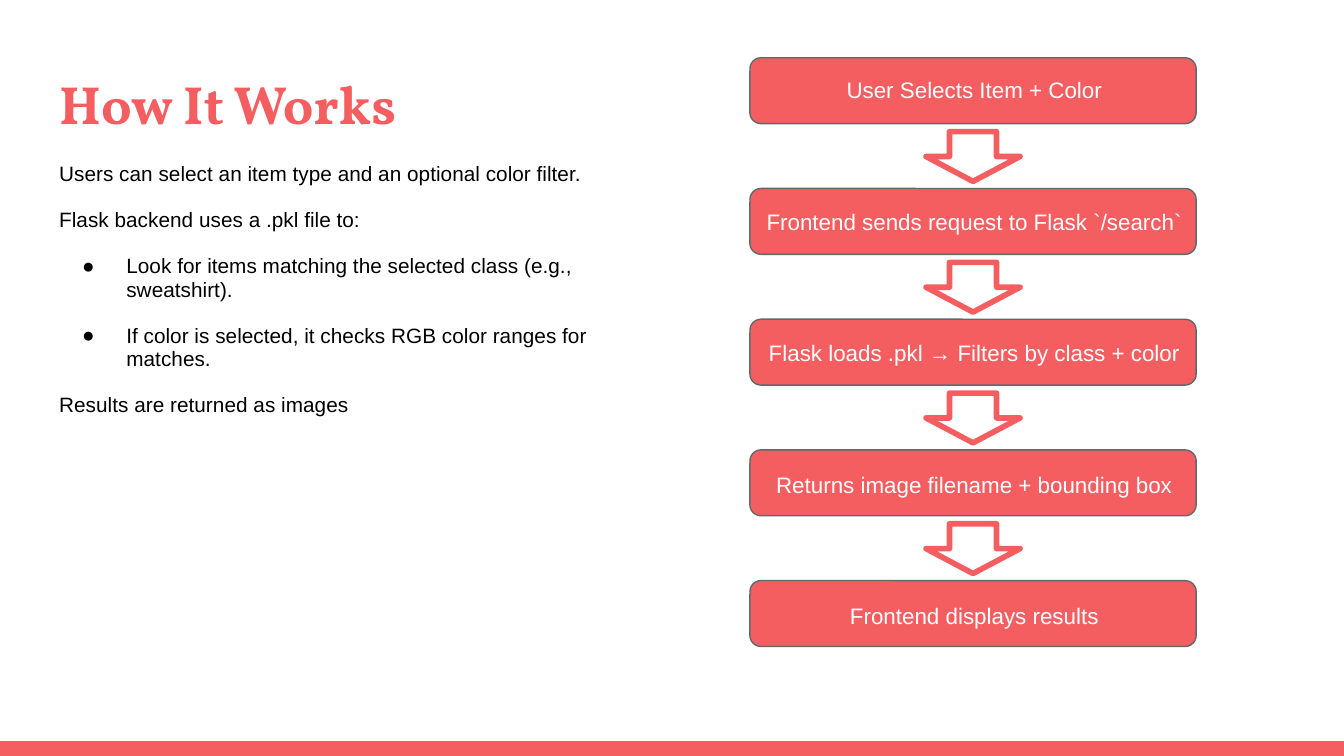
from lxml import etree
from pptx import Presentation
from pptx import util as u
from pptx.dml.color import RGBColor
from pptx.enum import shapes, text
from pptx.oxml.ns import qn

CORAL = RGBColor(0xF5, 0x5E, 0x61)
SLATE = RGBColor(0x5E, 0x69, 0x6C)
BLACK = RGBColor(0, 0, 0)
WHITE = RGBColor(0xFF, 0xFF, 0xFF)

WIDTH = 10
HEIGHT = WIDTH * 9 / 16
BAR_H = 0.11
LEFT = 0.34
FLOW_LEFT, FLOW_TOP, FLOW_BOTTOM = 5.58, 0.43, 4.32  # tops of first and last box
LABEL_LEFT, LABEL_TOP = 5.59, 0.41
BOX_W, BOX_H = 3.32, 0.49
ARROW_W, ARROW_H = 0.7, 0.37
ARROW_OFFSET = 0.55  # from the top of a box to the arrow under it

STEPS = [
    "User Selects Item + Color",
    "Frontend sends request to Flask `/search`",
    "Flask loads .pkl → Filters by class + color",
    "Returns image filename + bounding box",
    "Frontend displays results",
]
BODY = [  # (text, bulleted)
    ("Users can select an item type and an optional color filter.", False),
    ("Flask backend uses a .pkl file to:", False),
    ("Look for items matching the selected class (e.g., sweatshirt).", True),
    ("If color is selected, it checks RGB color ranges for matches.", True),
    ("Results are returned as images", False),
]


def row_top(row, first=FLOW_TOP):
    """Top of a row when the rows run evenly from first to FLOW_BOTTOM."""
    return first + row * (FLOW_BOTTOM - first) / (len(STEPS) - 1)


def inches(*lengths):
    return [u.Inches(length) for length in lengths]


def place(sp, *box):
    sp.left, sp.top, sp.width, sp.height = inches(*box)


def set_frame(tf, anchor):
    tf.word_wrap = True
    tf.auto_size = text.MSO_AUTO_SIZE.NONE
    tf.vertical_anchor = anchor
    tf.margin_left = tf.margin_right = u.Inches(0.1)
    tf.margin_top = tf.margin_bottom = u.Inches(0.1)


def write(p, content, size=12, font="Arial", color=BLACK, bold=False,
          align=text.PP_ALIGN.LEFT, spacing=1.0, before=0):
    p.alignment = align
    p.line_spacing = spacing
    p.space_before = u.Pt(before)
    r = p.add_run()
    r.text = content
    r.font.size, r.font.name, r.font.bold = u.Pt(size), font, bold
    r.font.color.rgb = color


def set_bullet(p, bulleted):
    pPr = p._p.get_or_add_pPr()
    pPr.set("marL", str(u.Inches(0.5 if bulleted else 0)))
    pPr.set("indent", str(u.Inches(-0.33 if bulleted else 0)))
    if bulleted:
        etree.SubElement(pPr, qn("a:buFont")).set("typeface", "Arial")
        etree.SubElement(pPr, qn("a:buChar")).set("char", "●")
    else:
        etree.SubElement(pPr, qn("a:buNone"))


def add_block(slide, kind, box, fill, line=None, weight=0.75):
    sp = slide.shapes.add_shape(kind, *inches(*box))
    sp.shadow.inherit = False
    sp.fill.solid()
    sp.fill.fore_color.rgb = fill
    if line is None:
        sp.line.fill.background()
    else:
        sp.line.color.rgb = line
        sp.line.width = u.Pt(weight)


def add_title(slide):
    sp = slide.shapes.title
    place(sp, LEFT, 0.43, 4.66, 0.68)
    set_frame(sp.text_frame, text.MSO_ANCHOR.TOP)
    write(sp.text_frame.paragraphs[0], "How It Works", size=28.8,
          font="Vollkorn", color=CORAL, bold=True)


def add_body(slide):
    sp = slide.placeholders[1]
    place(sp, LEFT, 1.11, 4.25, 2.47)
    tf = sp.text_frame
    set_frame(tf, text.MSO_ANCHOR.TOP)
    for i, (content, bulleted) in enumerate(BODY):
        p = tf.add_paragraph() if i else tf.paragraphs[0]
        write(p, content, size=11.1, spacing=0.95, before=12 if i else 0)
        set_bullet(p, bulleted)


def add_box(slide, row):
    add_block(slide, shapes.MSO_SHAPE.ROUNDED_RECTANGLE,
              (FLOW_LEFT, row_top(row), BOX_W, BOX_H), CORAL, SLATE)


def add_label(slide, row, label):
    sp = slide.shapes.add_textbox(
        *inches(LABEL_LEFT, row_top(row, LABEL_TOP), BOX_W, BOX_H))
    set_frame(sp.text_frame, text.MSO_ANCHOR.MIDDLE)
    write(sp.text_frame.paragraphs[0], label, color=WHITE,
          align=text.PP_ALIGN.CENTER, spacing=1.15)


def add_down_arrow(slide, row):
    box = (FLOW_LEFT + (BOX_W - ARROW_W) / 2, row_top(row) + ARROW_OFFSET,
           ARROW_W, ARROW_H)
    add_block(slide, shapes.MSO_SHAPE.DOWN_ARROW, box, WHITE, CORAL, 3)


def main():
    prs = Presentation()
    prs.slide_width, prs.slide_height = inches(WIDTH, HEIGHT)
    slide = prs.slides.add_slide(prs.slide_layouts[1])
    add_block(slide, shapes.MSO_SHAPE.RECTANGLE,
              (0, HEIGHT - BAR_H, WIDTH, BAR_H), CORAL)
    add_title(slide)
    add_body(slide)
    for row in range(len(STEPS)):
        add_box(slide, row)
    for row, label in enumerate(STEPS):
        add_label(slide, row, label)
    for row in range(len(STEPS) - 1):
        add_down_arrow(slide, row)
    prs.save("out.pptx")


if __name__ == "__main__":
    main()
